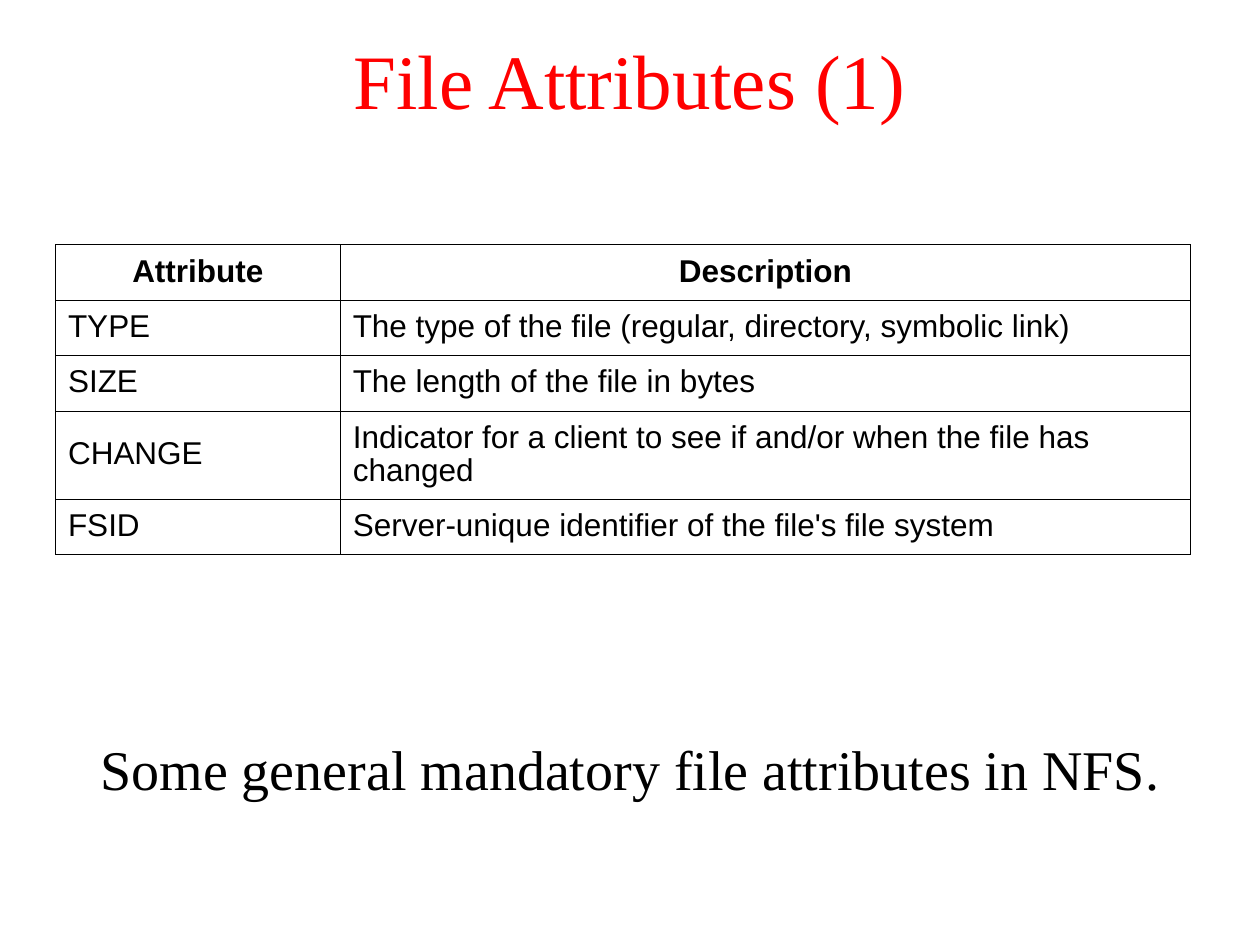
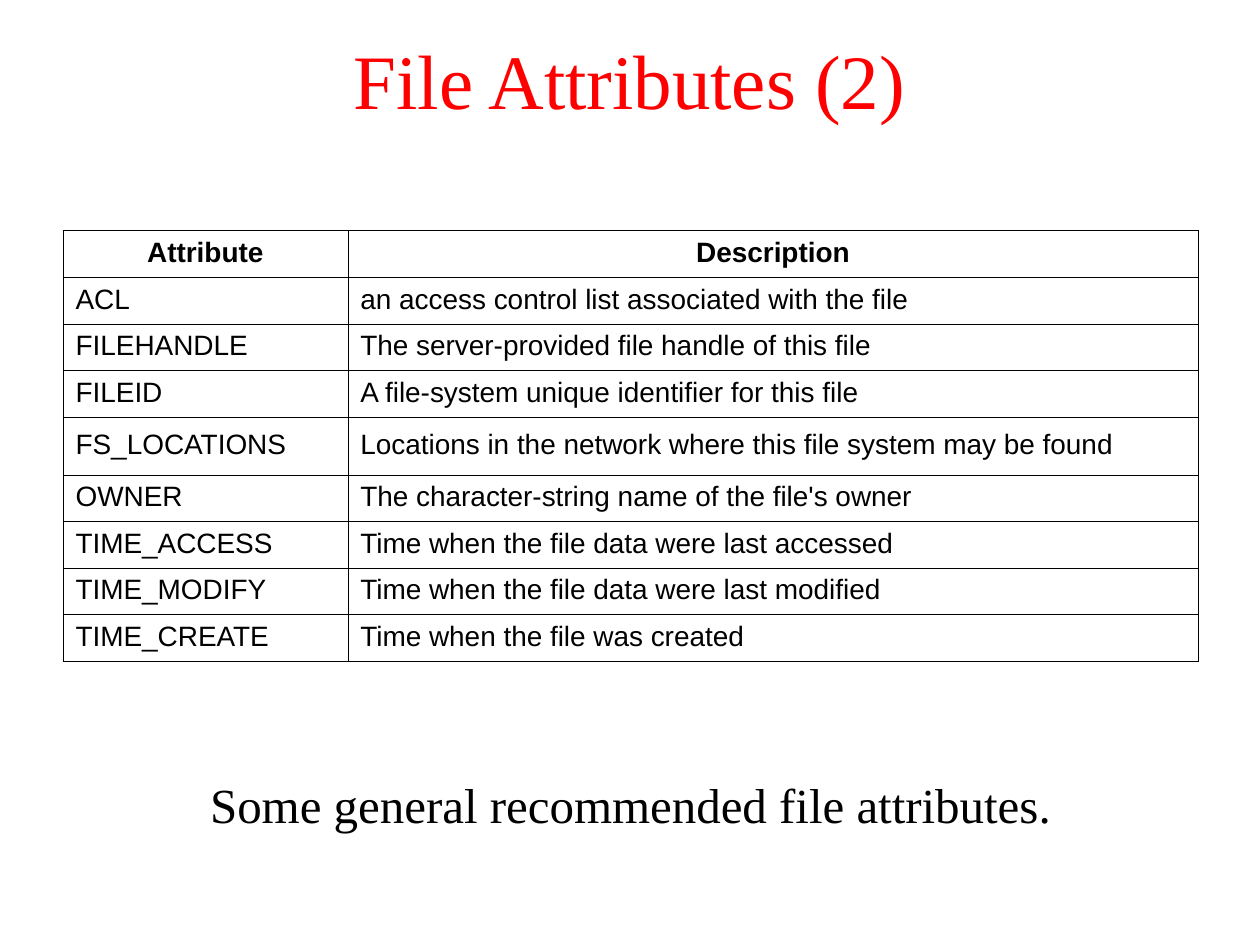
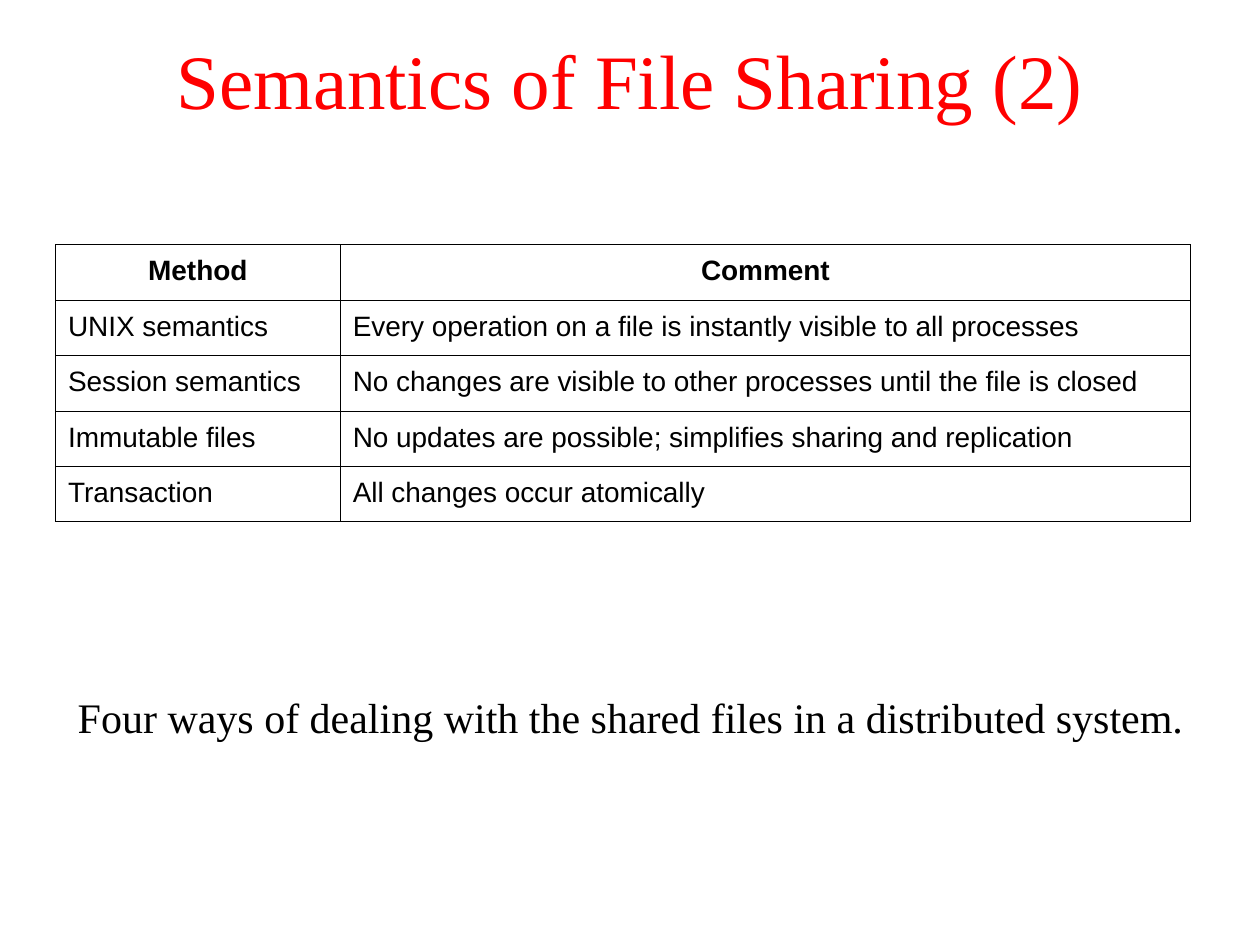
from lxml import etree
from pptx import Presentation
from pptx.dml.color import RGBColor
from pptx.enum.text import MSO_ANCHOR, MSO_AUTO_SIZE, PP_ALIGN
from pptx.oxml.ns import qn
from pptx.util import Inches, Pt

CENTER, LEFT = PP_ALIGN.CENTER, PP_ALIGN.LEFT
MIDDLE, TOP = MSO_ANCHOR.MIDDLE, MSO_ANCHOR.TOP
NO_AUTOFIT = MSO_AUTO_SIZE.NONE
TITLE_AND_CONTENT = 1

RED, BLACK = "FF0000", "000000"
SERIF, SANS = "Times New Roman", "Arial"
OUTER_LINE, INNER_LINE = 0.51, 0.23
COLUMN_WIDTHS = (2.26, 6.75)


def rgb(value):
    """Turn a hex string into a colour."""
    return RGBColor.from_string(value)


def set_attributes(obj, values):
    """Set every attribute named in a dict of format values."""
    for name, value in values.items():
        setattr(obj, name, value)


def set_border(cell, side, width):
    """Draw one side (L, R, T or B) of a cell as a solid black line."""
    tc_pr = cell._tc.get_or_add_tcPr()
    ln = etree.SubElement(tc_pr, qn("a:ln" + side), w=str(Pt(width)))
    fill = etree.SubElement(ln, qn("a:solidFill"))
    etree.SubElement(fill, qn("a:srgbClr"), val=BLACK)


class Deck:
    """The presentation, its shared style and the current slide."""

    def __init__(self):
        """Open an empty 10 by 7.5 inch presentation."""
        self.prs = Presentation()
        self.prs.slide_width = Inches(10)
        self.prs.slide_height = Inches(7.5)
        self.slide = None

    def add_text(self, tf, text, font, size, color=BLACK, bold=False, **paragraph):
        """Fill a text frame with one formatted paragraph and return it."""
        p = tf.paragraphs[0]
        r = p.add_run()
        r.text = text
        set_attributes(r.font, {"name": font, "size": Pt(size), "bold": bold})
        r.font.color.rgb = rgb(color)
        set_attributes(p, paragraph)
        return p

    def place(self, sp, top, height, anchor):
        """Stretch a placeholder over the slide width at the given height."""
        set_attributes(sp, {"left": 0, "top": Inches(top),
                            "width": self.prs.slide_width,
                            "height": Inches(height)})
        set_attributes(sp.text_frame, {"word_wrap": True, "auto_size": NO_AUTOFIT,
                                       "vertical_anchor": anchor})

    def add_slide(self, title):
        """Start a slide with a centred red title."""
        layout = self.prs.slide_layouts[TITLE_AND_CONTENT]
        self.slide = self.prs.slides.add_slide(layout)
        sp = self.slide.shapes.title
        self.place(sp, 0, 1.25, MIDDLE)
        self.add_text(sp.text_frame, title, SERIF, 44, RED, alignment=CENTER)

    def caption(self, text, top, size):
        """Put the unbulleted caption into the body placeholder."""
        sp = self.slide.placeholders[1]
        self.place(sp, top, 0.92, TOP)
        p = self.add_text(sp.text_frame, text, SERIF, size, alignment=CENTER,
                          space_before=Pt(size / 4))
        p_pr = p._p.get_or_add_pPr()
        p_pr.set("marL", str(Inches(0.38)))
        p_pr.set("indent", str(Inches(-0.37)))
        etree.SubElement(p_pr, qn("a:buNone"))

    def table(self, rows, left, top, row_height, size, tall_rows=None):
        """Add a two-column table; tall_rows maps row numbers to heights."""
        tall_rows = tall_rows or {}
        heights = [tall_rows.get(i, row_height) for i in range(len(rows))]
        frame = self.slide.shapes.add_table(
            len(rows), len(COLUMN_WIDTHS), Inches(left), Inches(top),
            Inches(sum(COLUMN_WIDTHS)), Inches(sum(heights)))
        table = frame.table
        set_attributes(table, {"first_row": False, "horz_banding": False})
        for column, width in zip(table.columns, COLUMN_WIDTHS):
            column.width = Inches(width)
        last_row, last_col = len(rows) - 1, len(COLUMN_WIDTHS) - 1
        for i, (texts, height) in enumerate(zip(rows, heights)):
            table.rows[i].height = Inches(height)
            for j, text in enumerate(texts):
                outer = {"L": j == 0, "R": j == last_col,
                         "T": i == 0, "B": i == last_row}
                self.cell(table.cell(i, j), text, size, i == 0, outer)

    def cell(self, cell, text, size, header, outer):
        """Fill one table cell; outer tells which sides are on the edge."""
        for side, is_outer in outer.items():
            set_border(cell, side, OUTER_LINE if is_outer else INNER_LINE)
        cell.fill.background()
        set_attributes(cell, {
            "vertical_anchor": MIDDLE,
            "margin_left": Inches(0.1), "margin_right": Inches(0.1),
            "margin_top": Inches(0.05), "margin_bottom": Inches(0.05)})
        self.add_text(cell.text_frame, text, SANS, size, bold=header,
                      alignment=CENTER if header else LEFT,
                      line_spacing=0.93, space_before=Pt(size / 4))


MANDATORY = [
    ("Attribute", "Description"),
    ("TYPE", "The type of the file (regular, directory, symbolic link)"),
    ("SIZE", "The length of the file in bytes"),
    ("CHANGE", "Indicator for a client to see if and/or when the file has changed"),
    ("FSID", "Server-unique identifier of the file's file system"),
]
RECOMMENDED = [
    ("Attribute", "Description"),
    ("ACL", "an access control list associated with the file"),
    ("FILEHANDLE", "The server-provided file handle of this file"),
    ("FILEID", "A file-system unique identifier for this file"),
    ("FS_LOCATIONS", "Locations in the network where this file system may be found"),
    ("OWNER", "The character-string name of the file's owner"),
    ("TIME_ACCESS", "Time when the file data were last accessed"),
    ("TIME_MODIFY", "Time when the file data were last modified"),
    ("TIME_CREATE", "Time when the file was created"),
]
SHARING = [
    ("Method", "Comment"),
    ("UNIX semantics", "Every operation on a file is instantly visible to all processes"),
    ("Session semantics", "No changes are visible to other processes until the file is closed"),
    ("Immutable files", "No updates are possible; simplifies sharing and replication"),
    ("Transaction", "All changes occur atomically"),
]

deck = Deck()

deck.add_slide("File Attributes (1)")
deck.caption("Some general mandatory file attributes in NFS.", 5.78, 32)
deck.table(MANDATORY, 0.44, 1.94, 0.44, 18, tall_rows={3: 0.7})

deck.add_slide("File Attributes (2)")
deck.caption("Some general recommended file attributes.", 6.1, 28)
deck.table(RECOMMENDED, 0.5, 1.83, 0.37, 16, tall_rows={4: 0.46})

deck.add_slide("Semantics of File Sharing (2)")
deck.caption("Four ways of dealing with the shared files in a distributed system.", 5.44, 24)
deck.table(SHARING, 0.44, 1.94, 0.44, 16)

deck.prs.save("out.pptx")
